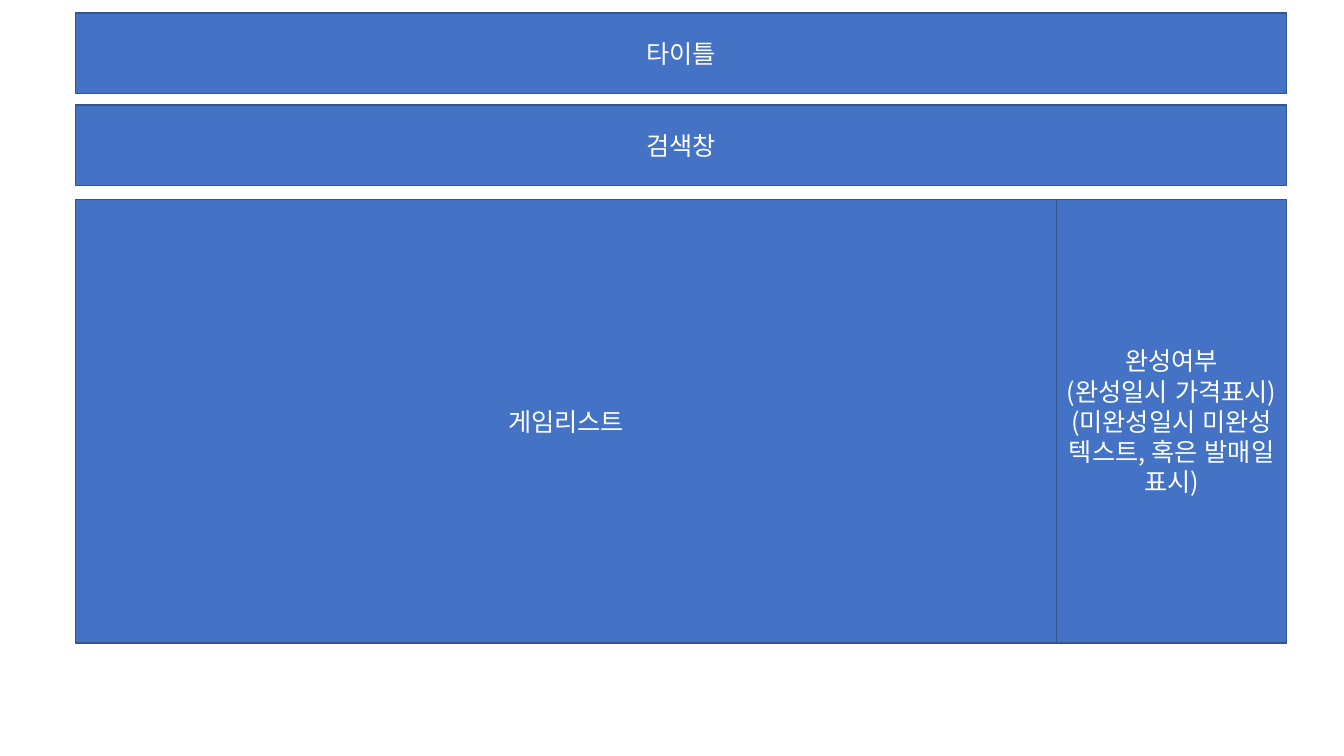
from lxml import etree
from pptx import Presentation
from pptx import util as u
from pptx.dml.color import RGBColor
from pptx.enum import lang, shapes, text
from pptx.oxml import ns

HUES = {"fill": "4472C4", "edge": "325491", "text": "FFFFFF"}
FONT = "Noto Sans CJK KR"


def hue(name):
    """Return the named colour."""
    return RGBColor.from_string(HUES[name])


def write(frame, lines, size=18, color="text", font=FONT):
    """Fill a text frame with centred paragraphs."""
    frame.word_wrap = True
    frame.vertical_anchor = text.MSO_ANCHOR.MIDDLE
    for i, line in enumerate(lines):
        para = frame.paragraphs[0] if i == 0 else frame.add_paragraph()
        para.alignment = text.PP_ALIGN.CENTER
        run = para.add_run()
        run.text = line
        run.font.size = u.Pt(size)
        run.font.name = font
        run.font.color.rgb = hue(color)
        run.font.language_id = lang.MSO_LANGUAGE_ID.KOREAN
        asian = etree.Element(ns.qn("a:ea"), typeface=font)
        run.font._element.find(ns.qn("a:latin")).addnext(asian)


def panel(slide, box, *lines):
    """Draw one labelled block of the layout in its box."""
    rect = slide.shapes.add_shape(
        shapes.MSO_SHAPE.RECTANGLE, *(u.Inches(n) for n in box))
    rect.shadow.inherit = False
    rect.fill.solid()
    rect.fill.fore_color.rgb = hue("fill")
    rect.line.color.rgb = hue("edge")
    rect.line.width = u.Pt(1)
    write(rect.text_frame, lines)


def header(slide, left, top, width):
    """Stack the title bar and the search bar."""
    for i, label in enumerate(("타이틀", "검색창")):
        panel(slide, (left, top + i * 0.91, width, 0.8), label)


def body(slide, left, top, width, height, side=2.28):
    """Place the game list with the status column at its right."""
    main = width - side
    panel(slide, (left, top, main, height), "게임리스트")
    panel(slide, (left + main, top, side, height),
          "완성여부",
          "(완성일시 가격표시)",
          "(미완성일시 미완성 텍스트, 혹은 발매일 표시)")


def build():
    """Build the layout slide and save it."""
    deck = Presentation()
    deck.slide_width = u.Inches(13.33)
    deck.slide_height = u.Inches(7.5)
    slide = deck.slides.add_slide(deck.slide_layouts[6])
    header(slide, 0.75, 0.13, 12.01)
    body(slide, 0.75, 1.98, 12.01, 4.4)
    deck.save("out.pptx")


build()
